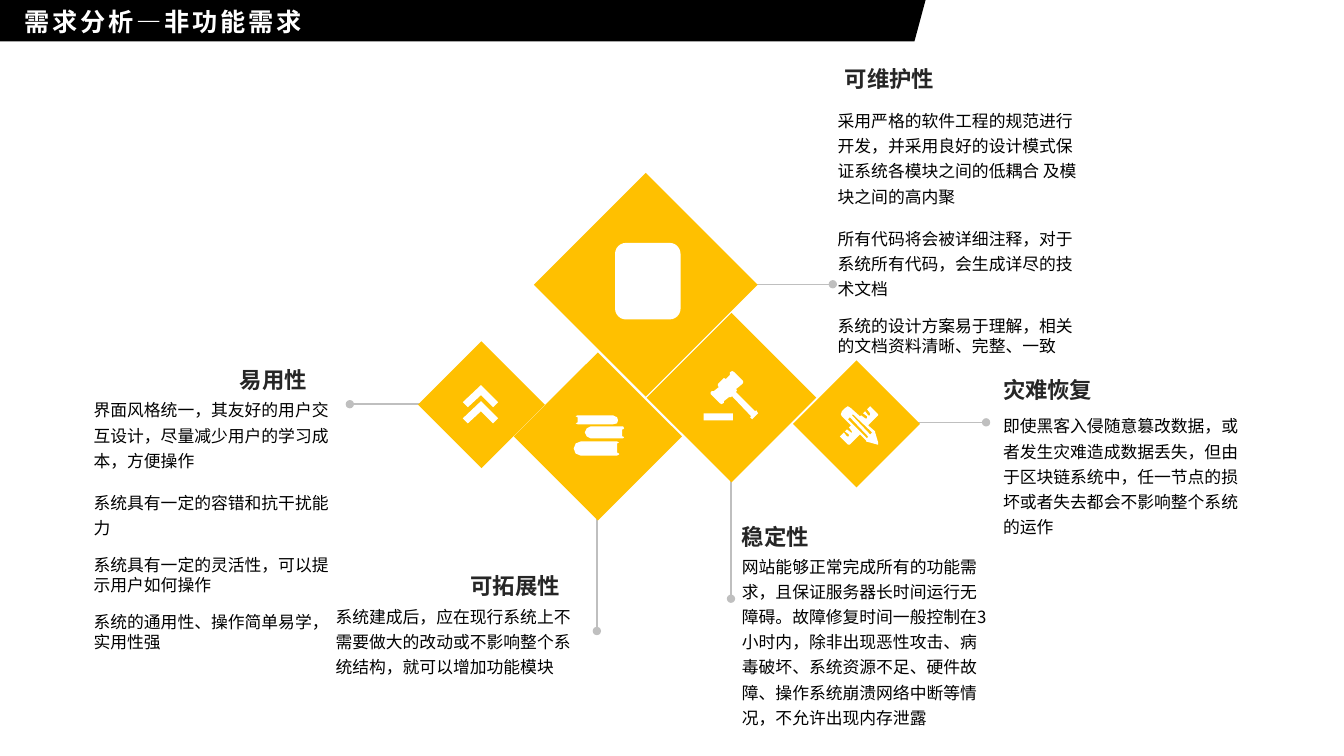
from dataclasses import dataclass

from lxml.etree import SubElement
from pptx import Presentation
from pptx.dml.color import RGBColor as Rgb
from pptx.enum.shapes import MSO_CONNECTOR as Conn, MSO_SHAPE as Kind
from pptx.enum.text import MSO_AUTO_SIZE as Fit, PP_ALIGN as Align
from pptx.oxml.ns import qn
from pptx.util import Inches, Pt


@dataclass(frozen=True)
class Theme:
    """Colours, font and type sizes of the slide."""
    black: Rgb = Rgb(0, 0, 0)
    white: Rgb = Rgb(255, 255, 255)
    gold: Rgb = Rgb(0xFF, 0xC0, 0)
    gray: Rgb = Rgb(0xBF, 0xBF, 0xBF)
    dark: Rgb = Rgb(0x26, 0x26, 0x26)
    font: str = "Noto Sans CJK SC"
    title: Pt = Pt(18)
    head: Pt = Pt(16)
    body: Pt = Pt(12)


def put(item, form):
    """Set each value of a format dict on an item."""
    for key, val in form.items():
        setattr(item, key, val)


class Board:
    """Draws styled elements on the current slide."""

    def __init__(self, deck, theme):
        """Add a blank slide to the deck."""
        self.theme = theme
        self.slide = deck.slides.add_slide(deck.slide_layouts[6])
        self.shapes = self.slide.shapes

    def paint(self, shape, color):
        """Give a shape a plain fill without line or shadow."""
        shape.shadow.inherit = False
        shape.fill.solid()
        shape.fill.fore_color.rgb = color
        shape.line.fill.background()

    def outline(self, color, *loops):
        """Draw closed loops given in hundredths of an inch."""
        build = None
        for loop in loops:
            nums = [int(num) for num in loop.split()]
            first, *rest = zip(nums[::2], nums[1::2])
            if build is None:
                build = self.shapes.build_freeform(*first, scale=Inches(0.01))
            else:
                build.move_to(*first)
            build.add_line_segments(rest, close=True)
        self.paint(build.convert_to_shape(), color)

    def tiles(self, spots):
        """Draw a group of squares standing on a corner."""
        group = self.shapes.add_group_shape()
        for left, top, size in spots:
            tile = group.shapes.add_shape(
                Kind.RECTANGLE, *map(Inches, (left, top, size, size)))
            tile.rotation = 315
            self.paint(tile, self.theme.gold)

    def badge(self, *box):
        """Draw a plain white rounded block."""
        self.paint(self.shapes.add_shape(
            Kind.ROUNDED_RECTANGLE, *map(Inches, box)), self.theme.white)

    def link(self, left, top, wide, high):
        """Draw a thin line that ends in a dot."""
        line = self.shapes.add_connector(
            Conn.STRAIGHT, *map(Inches, (left, top, left + wide, top + high)))
        line.line.color.rgb = self.theme.gray
        line.line.width = Pt(1)
        SubElement(line.line._get_or_add_ln(), qn("a:tailEnd"), type="oval")
        SubElement(line._element.spPr, qn("a:effectLst"))

    def text(self, box, parts, size, color, bold=False, wrap=True, gap=None):
        """Write paragraphs, each a pair of words and format."""
        area = self.shapes.add_textbox(*map(Inches, box)).text_frame
        put(area, {"word_wrap": wrap, "auto_size": Fit.SHAPE_TO_FIT_TEXT})
        for spot, (words, form) in enumerate(parts):
            para = area.add_paragraph() if spot else area.paragraphs[0]
            put(para, form)
            run = para.add_run()
            run.text = words
            put(run.font, {"name": self.theme.font, "size": size, "bold": bold})
            run.font.color.rgb = color
            props = run._r.get_or_add_rPr()
            SubElement(props, qn("a:ea"), typeface=self.theme.font)
            if gap:
                props.set("spc", str(gap))

    def title(self, box, words):
        """Write the slide title."""
        self.text(box, [(words, {"line_spacing": 1.2})], self.theme.title,
                  self.theme.white, bold=True, gap=200)

    def head(self, left, top, words, align=Align.LEFT):
        """Write a topic heading as wide as its words."""
        wide = 0.22 * len(words) + 0.22
        self.text((left, top, wide, 0.37), [(words, {"alignment": align})],
                  self.theme.head, self.theme.dark, bold=True, wrap=False)

    def body(self, left, top, high, loose, tight=()):
        """Write a topic with loose, then tight paragraphs."""
        many = len(loose) + len(tight) > 1
        space = {"space_before": Pt(6), "space_after": Pt(6)} if many else {}
        parts = [(words, {"line_spacing": 1.25, **space}) for words in loose]
        parts += [(words, space) for words in tight]
        self.text((left, top, 2.65, high), parts, self.theme.body,
                  self.theme.black)


LINKS = [(7.47, 2.82, 0.79, 0), (4.26, 4.01, -0.79, 0), (8.99, 4.19, 0.79, 0),
         (7.25, 4.74, 0, 1.2), (5.92, 5.06, 0, 1.2)]

TILES = [(5.62, 2.04, 1.57), (4.33, 3.57, 0.89), (5.34, 3.74, 1.18),
         (6.66, 3.35, 1.19), (8.05, 3.76, 0.89)]

BOOKS = [
    "612 440 612 449 614 450 614 451 612 452 576 452 571 450 569 445 "
    "571 440 576 438 612 438 614 439",
    "618 433 617 433 617 426 618 426 619 425 618 423 586 423 582 425 "
    "580 429 582 433 586 435 618 435 619 434",
    "573 419 571 420 573 421 608 421 612 420 613 417 612 414 608 412 "
    "573 412 571 413 573 414",
]

GAVEL = [
    "698 410 727 410 727 417 698 417",
    "726 368 728 369 737 378 737 380 736 381 735 382 730 386 731 387 "
    "730 389 749 408 750 407 752 410 746 416 744 414 745 413 726 393 "
    "725 394 723 394 718 398 718 400 717 400 716 401 714 400 705 391 "
    "705 389 706 388 708 388 713 384 712 383 712 381 717 376 718 375 "
    "720 376 724 372 724 369 725 369",
]

ARROWS = ["477 398 494 415 489 420 477 408 464 420 459 415",
          "477 382 494 399 489 404 477 392 464 404 459 399"]

TOOLS = [
    "868 429 868 428 861 422 871 412 871 411 864 404 863 403 862 404 "
    "860 406 863 410 863 412 861 412 858 408 856 410 860 413 860 415 "
    "858 415 854 412 853 413 844 405 841 403 838 405 835 408 834 411 "
    "835 413 844 422 842 424 845 428 845 430 844 429 840 426 838 428 "
    "842 431 842 433 840 433 837 429 834 432 833 433 834 434 841 441 "
    "843 441 853 431 859 437 859 438 870 441 871 441 871 439",
    "860 435 841 416 843 414 861 433",
    "863 431 845 412 846 411 865 429",
]


def main():
    """Build the slide and save it."""
    deck = Presentation()
    put(deck, {"slide_width": Inches(13.33), "slide_height": Inches(7.5)})
    theme = Theme()
    board = Board(deck, theme)
    board.outline(theme.black, "918 0 0 0 0 41 907 41")
    for spot in LINKS:
        board.link(*spot)
    board.tiles(TILES)
    board.body(0.83, 3.87, 3.26, [
        "界面风格统一，其友好的用户交互设计，尽量减少用户的学习成本，方便操作",
        "系统具有一定的容错和抗干扰能力"], [
        "系统具有一定的灵活性，可以提示用户如何操作",
        "系统的通用性、操作简单易学，实用性强"])
    board.head(2.27, 3.58, "易用性", Align.CENTER)
    for icon in (BOOKS, GAVEL, ARROWS, TOOLS):
        board.outline(theme.white, *icon)
    board.badge(6.1, 2.41, 0.65, 0.76)
    board.body(3.23, 5.92, 0.86, [
        "系统建成后，应在现行系统上不需要做⼤的改动或不影响整个系统结构，"
        "就可以增加功能模块"])
    board.head(4.56, 5.63, "可拓展性", Align.CENTER)
    board.body(7.26, 5.42, 1.87, [
        "网站能够正常完成所有的功能需求，且保证服务器长时间运行无障碍。"
        "故障修复时间一般控制在3小时内，除非出现恶性攻击、病毒破坏、"
        "系统资源不足、硬件故障、操作系统崩溃网络中断等情况，不允许出现内存泄露"])
    board.head(7.26, 5.14, "稳定性")
    board.body(9.85, 4.03, 1.36, [
        "即使黑客入侵随意篡改数据，或者发生灾难造成数据丢失，但由于区块链系统中，"
        "任一节点的损坏或者失去都会不影响整个系统的运作"])
    board.head(9.85, 3.68, "灾难恢复")
    board.body(8.21, 1, 3.01, [
        "采用严格的软件工程的规范进行开发，并采用良好的设计模式保证系统"
        "各模块之间的低耦合 及模块之间的高内聚",
        "所有代码将会被详细注释，对于系统所有代码，会生成详尽的技术文档"], [
        "系统的设计方案易于理解，相关的文档资料清晰、完整、一致"])
    board.head(8.28, 0.6, "可维护性")
    board.title((0.14, -0.05, 4.01, 0.46), "需求分析—非功能需求")
    deck.save("out.pptx")


if __name__ == "__main__":
    main()
